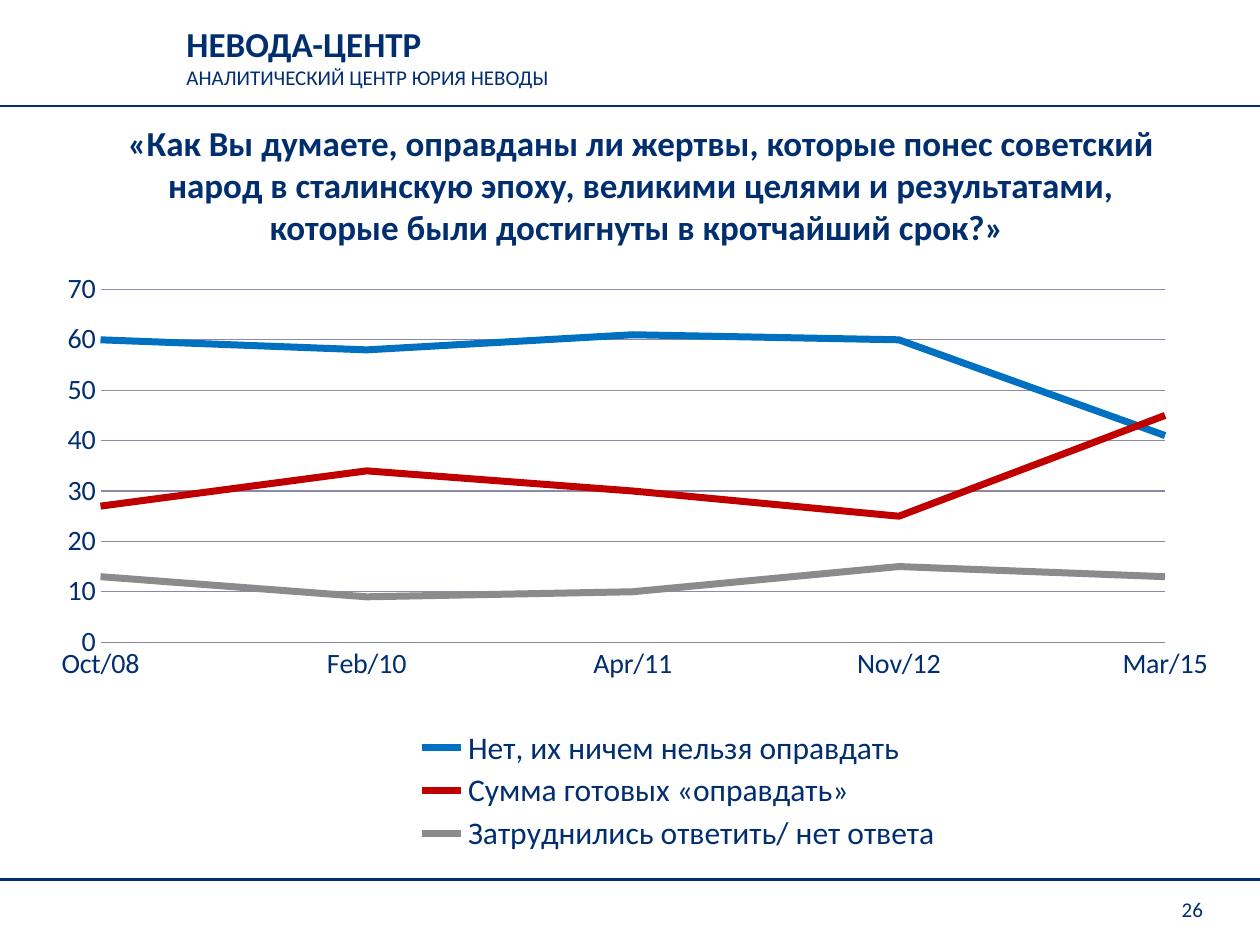
from lxml import etree
from pptx import Presentation
from pptx.chart import data
from pptx.dml import color
from pptx.enum import chart as charts, shapes, text
from pptx.oxml import ns
from pptx.util import Pt

NAVY, GRID = "002E6E", "8A8AA8"
FONT = "Calibri"
WIDTH, HEIGHT = 720, 540

HEADER = [("НЕВОДА-ЦЕНТР", 20, True), ("АНАЛИТИЧЕСКИЙ ЦЕНТР ЮРИЯ НЕВОДЫ", 12, False)]
QUESTION = [("«Как Вы думаете, оправданы ли жертвы, которые понес советский народ "
             "в сталинскую эпоху, великими целями и результатами, которые были "
             "достигнуты в кротчайший срок?» ", 20, True)]
PAGE_NUMBER = [("26", 12, False)]
RULES = [60.5, 502.5]
DATES = ["Oct/08", "Feb/10", "Apr/11", "Nov/12", "Mar/15"]
SERIES = [
    ("Нет, их ничем нельзя оправдать", "0070C0", [60, 58, 61, 60, 41]),
    ("Сумма готовых «оправдать»", "C00000", [27, 34, 30, 25, 45]),
    ("Затруднились ответить/ нет ответа", "8B8B8B", [13, 9, 10, 15, 13]),
]
CHART_BOX = (20, 150.5, 680.5, 346.5)
PLOT_AREA = (0.055, 0.043, 0.894, 0.582)
LEGEND_AREA = (0.3, 0.76, 0.48, 0.22)


def rgb(value):
    return color.RGBColor.from_string(value)


def set_font(font, size, bold=False):
    font.name, font.size, font.bold = FONT, Pt(size), bold
    font.color.rgb = rgb(NAVY)


def set_line(line, value, width):
    line.color.rgb = rgb(value)
    line.width = Pt(width)


def add_text(slide, lines, box, align="LEFT", anchor="TOP"):
    frame = slide.shapes.add_textbox(*map(Pt, box)).text_frame
    frame.word_wrap = True
    frame.vertical_anchor = text.MSO_ANCHOR[anchor]
    for index, (content, size, bold) in enumerate(lines):
        paragraph = frame.paragraphs[0] if index == 0 else frame.add_paragraph()
        paragraph.alignment = text.PP_ALIGN[align]
        run = paragraph.add_run()
        run.text = content
        set_font(run.font, size, bold)


def add_rule(slide, top):
    rule = slide.shapes.add_connector(
        shapes.MSO_CONNECTOR.STRAIGHT, 0, Pt(top), Pt(WIDTH), Pt(top))
    set_line(rule.line, NAVY, 1.5)
    etree.SubElement(rule._element.spPr, ns.qn("a:effectLst"))


def set_layout(parent, position, area, inner=False):
    for old in parent.findall(ns.qn("c:layout")):
        parent.remove(old)
    layout = etree.Element(ns.qn("c:layout"))
    manual = etree.SubElement(layout, ns.qn("c:manualLayout"))
    settings = [("layoutTarget", "inner")] if inner else []
    settings += [("xMode", "edge"), ("yMode", "edge")]
    settings += zip("xywh", map(str, area))
    for tag, value in settings:
        etree.SubElement(manual, ns.qn(f"c:{tag}")).set("val", value)
    parent.insert(position, layout)


def add_line_chart(slide):
    chart_data = data.CategoryChartData()
    chart_data.categories = DATES
    for name, _, values in SERIES:
        chart_data.add_series(name, values)
    chart = slide.shapes.add_chart(
        charts.XL_CHART_TYPE.LINE, *map(Pt, CHART_BOX), chart_data).chart
    chart.has_title = False
    set_font(chart.font, 18)

    plot = chart.plots[0]
    plot.vary_by_categories = False
    for series, (_, value, _) in zip(plot.series, SERIES):
        series.smooth = False
        series.marker.style = charts.XL_MARKER_STYLE.NONE
        set_line(series.format.line, value, 4)

    for axis in (chart.category_axis, chart.value_axis):
        axis.major_tick_mark = axis.minor_tick_mark = charts.XL_TICK_MARK.NONE
        set_font(axis.tick_labels.font, 16)
    set_line(chart.category_axis.format.line, GRID, 0.75)
    values_axis = chart.value_axis
    values_axis.minimum_scale, values_axis.maximum_scale = 0, 70
    values_axis.major_unit = 10
    values_axis.format.line.fill.background()
    values_axis.has_major_gridlines = True
    set_line(values_axis.major_gridlines.format.line, GRID, 0.75)
    cross_between = etree.Element(ns.qn("c:crossBetween"), val="midCat")
    values_axis._element.find(ns.qn("c:majorUnit")).addprevious(cross_between)

    chart.has_legend = True
    legend = chart.legend
    legend.position = charts.XL_LEGEND_POSITION.BOTTOM
    legend.include_in_layout = False
    set_font(legend.font, 18)
    set_layout(legend._element, 1, LEGEND_AREA)
    set_layout(chart._chartSpace.chart.plotArea, 0, PLOT_AREA, inner=True)


def main():
    presentation = Presentation()
    presentation.slide_width, presentation.slide_height = Pt(WIDTH), Pt(HEIGHT)
    slide = presentation.slides.add_slide(presentation.slide_layouts[6])
    add_text(slide, HEADER, (99.5, 9.5, 380, 46))
    for top in RULES:
        add_rule(slide, top)
    add_text(slide, QUESTION, (62.5, 60.5, 607.5, 90), "CENTER", "MIDDLE")
    add_line_chart(slide)
    add_text(slide, PAGE_NUMBER, (643.5, 508.5, 51, 22), "RIGHT", "MIDDLE")
    presentation.save("out.pptx")


if __name__ == "__main__":
    main()
